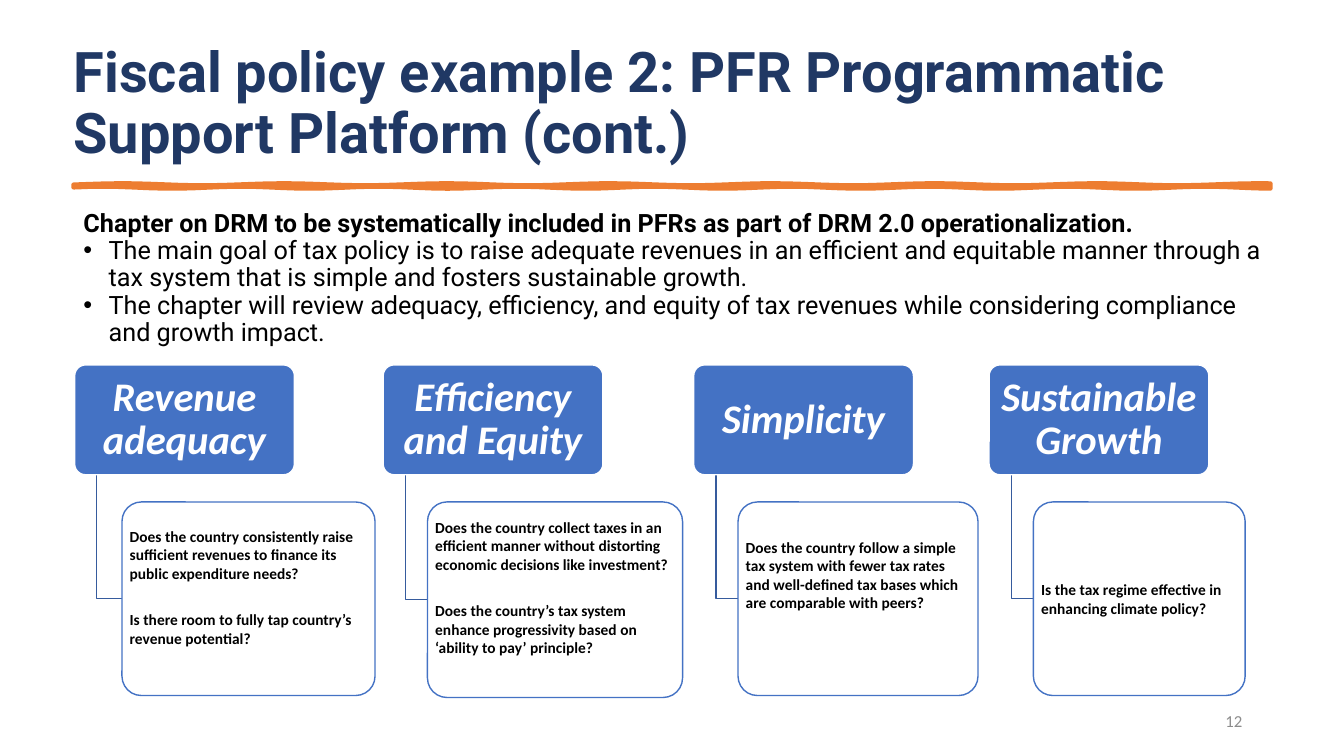
from math import sin

from lxml.etree import SubElement
from pptx import Presentation
from pptx.dml.color import RGBColor
from pptx.enum.shapes import MSO_SHAPE as SHAPE
from pptx.enum.text import MSO_ANCHOR as ANCHOR, MSO_AUTO_SIZE as AUTO, PP_ALIGN as ALIGN
from pptx.oxml.ns import qn
from pptx.util import Inches, Pt

THEME = {
    "color": {name: RGBColor.from_string(value) for name, value in {
        "rule": "ED7D31", "blue": "4472C4", "elbow": "365B9D", "white": "FFFFFF",
        "navy": "203864", "black": "000000", "grey": "8C8C8C"}.items()},
    "type": {
        "title": {"name": "Roboto", "size": Pt(40), "bold": True, "color": "navy"},
        "lead": {"name": "Roboto", "size": Pt(18), "bold": True, "color": "black"},
        "bullet": {"name": "Roboto", "size": Pt(18), "bold": False, "color": "black"},
        "header": {"name": "Calibri", "size": Pt(29), "bold": True, "italic": True, "color": "white"},
        "card": {"name": "Calibri", "size": Pt(11), "bold": True, "color": "black"},
        "number": {"name": "Calibri", "size": Pt(12), "color": "grey"},
    },
}
COLOR = THEME["color"]


def write(p, text, style, **layout):
    for key, value in layout.items():
        setattr(p, key, value)
    r = p.add_run()
    r.text = text
    for key, value in THEME["type"][style].items():
        if key == "color":
            r.font.color.rgb = COLOR[value]
        else:
            setattr(r.font, key, value)


def paint(sp, fill, line, width):
    sp.shadow.inherit = False
    if fill:
        sp.fill.solid()
        sp.fill.fore_color.rgb = COLOR[fill]
    else:
        sp.fill.background()
    sp.line.color.rgb = COLOR[line]
    sp.line.width = Pt(width)


prs = Presentation()
prs.slide_width, prs.slide_height = Inches(13.33), Inches(7.5)
s = prs.slides.add_slide(prs.slide_layouts[5])

title = s.shapes.title
title.left, title.top, title.width, title.height = map(Inches, (0.73, 0.19, 12.4, 1.45))
tf = title.text_frame
for key, value in {"margin_left": 0, "margin_top": 0, "margin_right": 0, "margin_bottom": 0,
                   "word_wrap": True, "auto_size": AUTO.NONE, "vertical_anchor": ANCHOR.BOTTOM}.items():
    setattr(tf, key, value)
write(tf.paragraphs[0], "Fiscal policy example 2: PFR Programmatic Support Platform (cont.)",
      "title", alignment=ALIGN.LEFT, line_spacing=0.9)

steps = 80
xs = [0.73 + 11.87 * i / steps for i in range(steps + 1)]
top_edge = [(x, 1.83 + 0.01 * sin(3.9 * x)) for x in xs]
bottom_edge = [(x, 1.86 + 0.01 * sin(4.6 * x)) for x in reversed(xs)]
outline = [(Inches(x), Inches(y)) for x, y in top_edge + bottom_edge]
builder = s.shapes.build_freeform(*outline[0])
builder.add_line_segments(outline[1:], close=True)
paint(builder.convert_to_shape(), "rule", "rule", 3.25)

tf = s.shapes.add_textbox(*map(Inches, (0.73, 2.04, 11.94, 1.35))).text_frame
tf.word_wrap = True
write(tf.paragraphs[0],
      "Chapter on DRM to be systematically included in PFRs as part of DRM 2.0 operationalization.",
      "lead", line_spacing=0.9)
for text in (
    "The main goal of tax policy is to raise adequate revenues in an efficient and equitable manner "
    "through a tax system that is simple and fosters sustainable growth.",
    "The chapter will review adequacy, efficiency, and equity of tax revenues while considering "
    "compliance and growth impact.",
):
    p = tf.add_paragraph()
    p.line_spacing = 0.9
    pPr = p._p.get_or_add_pPr()
    pPr.set("marL", str(Inches(0.25)))
    pPr.set("indent", str(Inches(-0.25)))
    SubElement(pPr, qn("a:buFont"), typeface="Arial")
    SubElement(pPr, qn("a:buChar"), char="•")
    write(p, text, "bullet")

pillars = [
    ("Revenue adequacy", 0.74, 1.21, 2.51, 1.92, 0.19, [
        "Does the country consistently raise sufficient revenues to finance its public expenditure needs?",
        "Is there room to fully tap country’s revenue potential?"]),
    ("Efficiency and Equity", 3.8, 4.24, 2.53, 1.94, 0.1, [
        "Does the country collect taxes in an efficient manner without distorting economic decisions "
        "like investment?",
        "Does the country’s tax system enhance progressivity based on ‘ability to pay’ principle?"]),
    ("Simplicity", 6.88, 7.32, 2.38, 1.92, 0.3, [
        "Does the country follow a simple tax system with fewer tax rates and well-defined tax bases "
        "which are comparable with peers?"]),
    ("Sustainable Growth", 9.81, 10.25, 2.1, 1.92, 0.72, [
        "Is the tax regime effective in enhancing climate policy?"]),
]
header_top, header_width, header_height, card_top = 3.62, 2.18, 1.09, 4.98
for name, left, card_left, card_width, card_height, text_top, questions in pillars:
    elbow_x, elbow_y = Inches(left + 0.22), Inches(card_top + card_height / 2)
    builder = s.shapes.build_freeform(elbow_x, Inches(header_top + header_height))
    builder.add_line_segments([(elbow_x, elbow_y), (Inches(card_left), elbow_y)], close=False)
    paint(builder.convert_to_shape(), None, "elbow", 1)

    for box, fill, line, margins, anchor in (
        ((left, header_top, header_width, header_height), "blue", "white",
         (0.06, 0.04, 0.06, 0.04), ANCHOR.MIDDLE),
        ((card_left, card_top, card_width, card_height), "white", "blue",
         (0.02, text_top, 0.02, 0.02), ANCHOR.TOP),
    ):
        sp = s.shapes.add_shape(SHAPE.ROUNDED_RECTANGLE, *map(Inches, box))
        sp.adjustments[0] = 0.1
        paint(sp, fill, line, 1)
        tf = sp.text_frame
        tf.word_wrap = True
        tf.vertical_anchor = anchor
        for side, margin in zip(("left", "top", "right", "bottom"), margins):
            setattr(tf, f"margin_{side}", Inches(margin))
        if fill == "blue":
            write(tf.paragraphs[0], name, "header", alignment=ALIGN.CENTER, line_spacing=0.9)
            continue
        for i, question in enumerate(questions):
            p = tf.add_paragraph() if i else tf.paragraphs[0]
            write(p, question, "card", alignment=ALIGN.LEFT, space_before=Pt(20 if i else 0))

tf = s.shapes.add_textbox(*map(Inches, (9.42, 6.95, 3, 0.4))).text_frame
tf.word_wrap = True
tf.vertical_anchor = ANCHOR.MIDDLE
write(tf.paragraphs[0], "12", "number", alignment=ALIGN.RIGHT)

prs.save("out.pptx")
